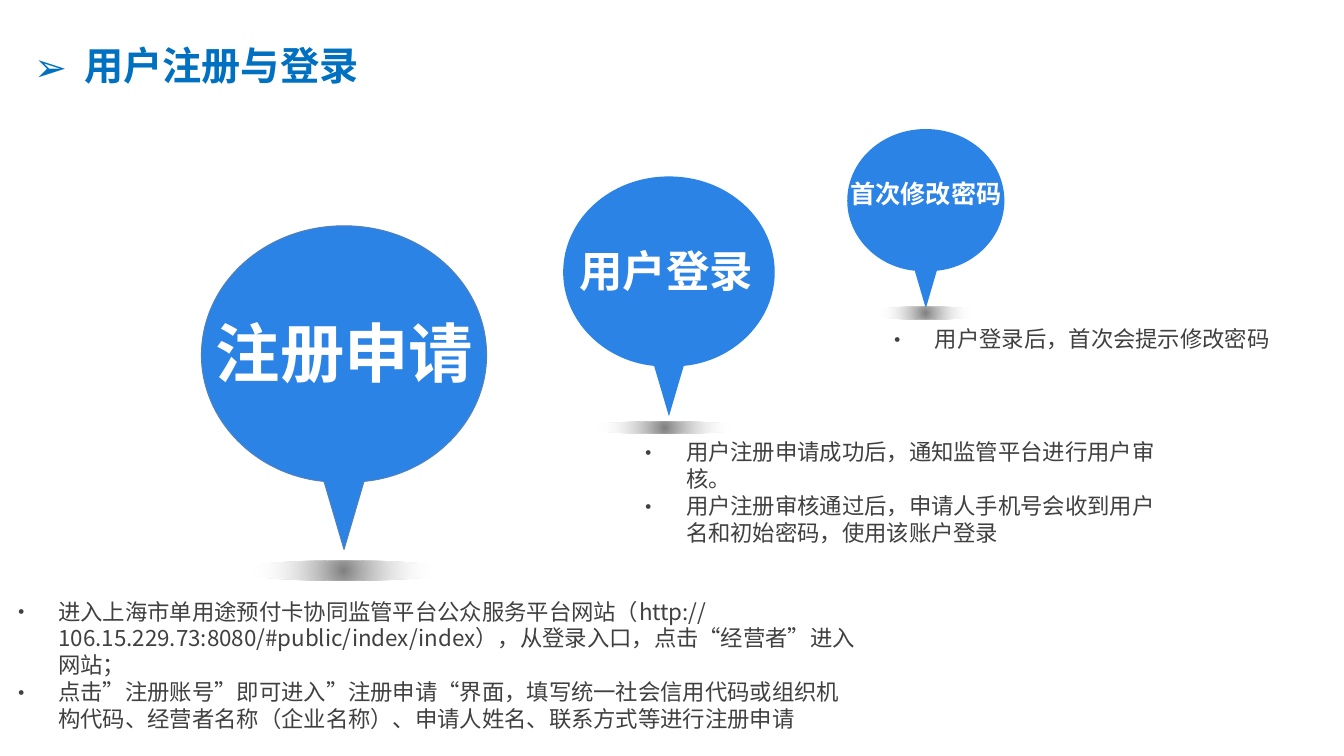
from lxml import etree
from pptx import Presentation
from pptx.dml.color import RGBColor
from pptx.enum.shapes import MSO_SHAPE
from pptx.enum.text import MSO_AUTO_SIZE, PP_ALIGN
from pptx.oxml import parse_xml
from pptx.oxml.ns import nsdecls, qn
from pptx.util import Inches, Pt

ELLIPSE = MSO_SHAPE.OVAL
CENTER = PP_ALIGN.CENTER
GROW = MSO_AUTO_SIZE.SHAPE_TO_FIT_TEXT

WIDTH, HEIGHT = Inches(13.34), Inches(7.5)
COLS, ROWS = 133.4, 75
FONT = "Noto Sans CJK SC"
COLORS = {
    "title": "0070C0",
    "body": "404040",
    "balloon": "2B83E5",
    "outline": "4F81BD",
    "white": "FFFFFF",
    "shadow": "808080",
}

PIN_TOP = (0.5, 0)
PIN_SEGMENTS = [
    [(0.78, 0), (1, 0.18), (1, 0.4)],
    [(1, 0.6), (0.81, 0.77), (0.57, 0.79)],
    [(0.5, 1)],
    [(0.43, 0.79)],
    [(0.19, 0.77), (0, 0.6), (0, 0.4)],
    [(0, 0.18), (0.22, 0), PIN_TOP],
]

BALLOONS = [
    ("注册申请", 46, (20, 22.4, 28.3, 32.1), (23.1, 55.6, 22, 2), (20.4, 30.6, 27.6, 8.7), False, "outline"),
    ("用户登录", 31, (55.9, 17.5, 21, 23.8), (57.8, 41.8, 16.3, 1.2), (56.5, 23.7, 19.2, 6.2), False, None),
    ("首次修改密码", 18, (84.1, 12.8, 15.6, 17.8), (86.3, 30.4, 11.1, 1.3), (82.9, 17.2, 18, 4), True, None),
]

NOTES = [
    ((62, 42.9, 54.6, 14.8), [
        "用户注册申请成功后，通知监管平台进行用户审核。",
        "用户注册审核通过后，申请人手机号会收到用户名和初始密码，使用该账户登录",
    ]),
    ((-0.3, 58.7, 86.6, 14.8), [
        "进入上海市单用途预付卡协同监管平台公众服务平台网站（http://106.15.229.73:8080/#public/index/index），"
        "从登录入口，点击“经营者”进入网站；",
        "点击”注册账号”即可进入”注册申请“界面，填写统一社会信用代码或组织机构代码、"
        "经营者名称（企业名称）、申请人姓名、联系方式等进行注册申请",
    ]),
    ((86.7, 31.7, 41, 7), ["用户登录后，首次会提示修改密码"]),
]


class Deck:
    def __init__(self):
        self.prs = Presentation()
        self.prs.slide_width, self.prs.slide_height = WIDTH, HEIGHT
        self.s = self.prs.slides.add_slide(self.prs.slide_layouts[6])

    def box(self, grid):
        x, y, w, h = grid
        col, row = WIDTH / COLS, HEIGHT / ROWS
        return round(x * col), round(y * row), round(w * col), round(h * row)

    def color(self, name):
        return RGBColor.from_string(COLORS[name])

    def text(self, grid, lines, size, color, bold=False, align=None, bullet=None,
             indent=0.5, insets=(0.1, 0.05), wrap=True, shapes=None):
        tf = (shapes or self.s.shapes).add_textbox(*self.box(grid)).text_frame
        tf.word_wrap = wrap
        tf.auto_size = GROW
        tf.margin_left = tf.margin_right = Inches(insets[0])
        tf.margin_top = tf.margin_bottom = Inches(insets[1])
        for i, line in enumerate(lines):
            p = tf.add_paragraph() if i else tf.paragraphs[0]
            if bullet:
                self.bullet(p, bullet, indent)
            if align is not None:
                p.alignment = align
            r = p.add_run()
            r.text = line
            r.font.name, r.font.size, r.font.bold = FONT, Pt(size), bold
            r.font.color.rgb = self.color(color)
            ea = etree.Element(qn("a:ea"), typeface=FONT)
            r.font._element.find(qn("a:latin")).addnext(ea)

    def bullet(self, p, char, indent):
        pPr = p._p.get_or_add_pPr()
        pPr.set("marL", str(Inches(indent)))
        pPr.set("indent", str(-Inches(indent)))
        etree.SubElement(pPr, qn("a:buFont"), typeface=FONT)
        etree.SubElement(pPr, qn("a:buChar"), char=char)

    def pin(self, shapes, grid, line):
        x, y, w, h = self.box(grid)
        ends = [(round(x + u * w), round(y + v * h)) for u, v in [PIN_TOP] + [seg[-1] for seg in PIN_SEGMENTS]]
        builder = shapes.build_freeform(*ends[0])
        builder.add_line_segments(ends[1:], close=True)
        sp = builder.convert_to_shape()
        for seg, straight in zip(PIN_SEGMENTS, list(sp._element.iter(qn("a:lnTo")))):
            if len(seg) == 3:
                curve = etree.Element(qn("a:cubicBezTo"))
                for u, v in seg:
                    etree.SubElement(curve, qn("a:pt"), x=str(round(u * w)), y=str(round(v * h)))
                straight.getparent().replace(straight, curve)
        sp.shadow.inherit = False
        sp.fill.solid()
        sp.fill.fore_color.rgb = self.color("balloon")
        if line:
            sp.line.color.rgb = self.color(line)
            sp.line.width = Pt(0.75)
        else:
            sp.line.fill.background()

    def ground_shadow(self, shapes, grid):
        sp = shapes.add_shape(ELLIPSE, *self.box(grid))
        sp.shadow.inherit = False
        sp.line.fill.background()
        sp.fill.background()
        no_fill = sp._element.spPr.find(qn("a:noFill"))
        gradient = parse_xml(
            f'<a:gradFill {nsdecls("a")} rotWithShape="1"><a:gsLst>'
            f'<a:gs pos="0"><a:srgbClr val="{COLORS["shadow"]}"/></a:gs>'
            f'<a:gs pos="80000"><a:srgbClr val="{COLORS["white"]}"><a:alpha val="0"/></a:srgbClr></a:gs>'
            '</a:gsLst><a:path path="circle">'
            '<a:fillToRect l="50000" t="50000" r="50000" b="50000"/></a:path></a:gradFill>')
        no_fill.getparent().replace(no_fill, gradient)

    def balloon(self, label, size, pin, shadow, label_box, wrap, line):
        shapes = self.s.shapes.add_group_shape().shapes
        self.pin(shapes, pin, line)
        self.ground_shadow(shapes, shadow)
        self.text(label_box, [label], size, "white", bold=True, align=CENTER, wrap=wrap, shapes=shapes)


def main():
    deck = Deck()
    for grid, lines in NOTES:
        deck.text(grid, lines, 16, "body", bullet="•", indent=0.48, insets=(0.13, 0.06))
    for balloon in BALLOONS:
        deck.balloon(*balloon)
    deck.text((2.4, 3.6, 39.8, 5.7), ["用户注册与登录"], 28, "title", bold=True, bullet="➢")
    deck.prs.save("out.pptx")


if __name__ == "__main__":
    main()
